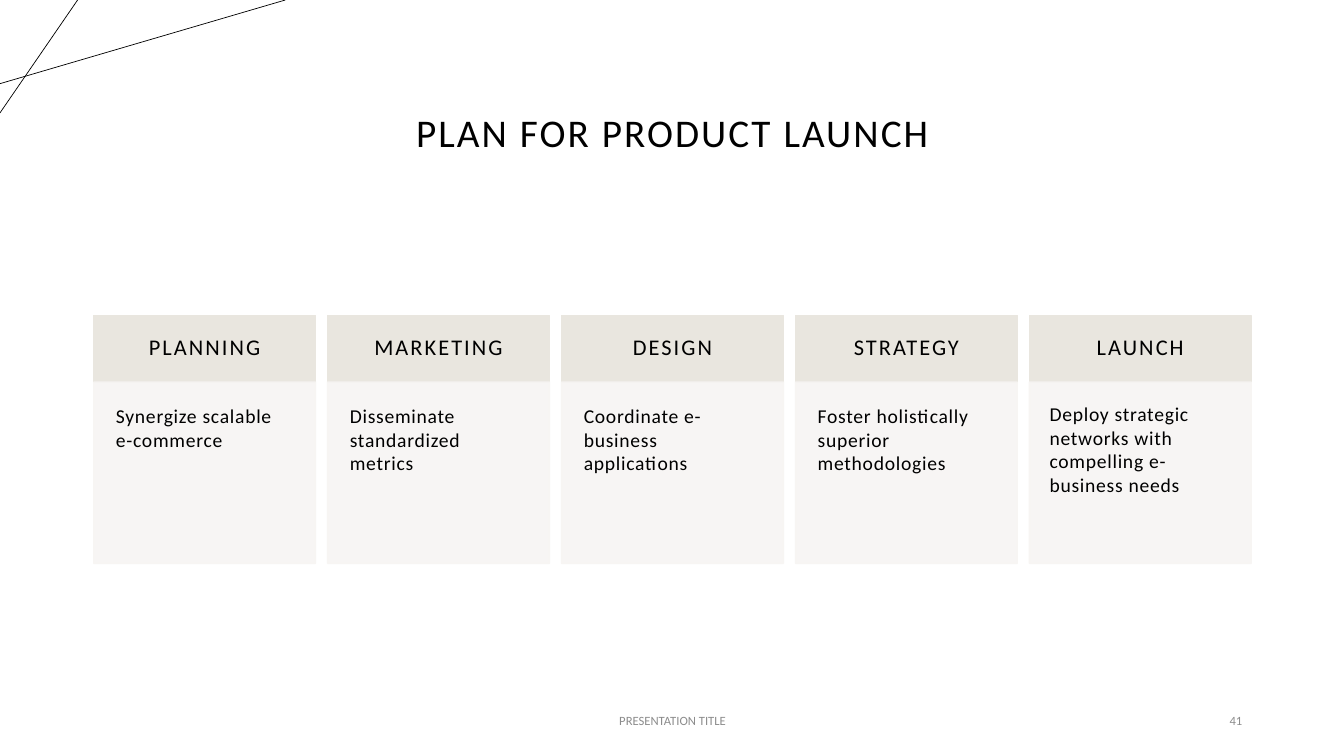
"""Build the product launch plan slide: five captioned columns under a title."""
from dataclasses import dataclass

from lxml.etree import SubElement
from pptx import Presentation
from pptx.dml.color import RGBColor
from pptx.enum.shapes import MSO_CONNECTOR, MSO_SHAPE
from pptx.enum.text import MSO_ANCHOR, PP_ALIGN
from pptx.oxml.ns import qn
from pptx.util import Inches, Pt

FONT = "Calibri"
BLACK, GREY, HEAD_FILL, BODY_FILL = "000000", "8C8C8C", "E9E6DF", "F7F5F3"
LEFT, TOP, WIDTH, PITCH = 0.93, 3.13, 2.2, 2.32
HEAD_HEIGHT, BODY_HEIGHT = 0.66, 1.8


@dataclass(frozen=True)
class Box:
    left: float
    top: float
    width: float
    height: float


@dataclass(frozen=True)
class Style:
    size: float
    color: str = BLACK
    align: PP_ALIGN = PP_ALIGN.CENTER
    anchor: MSO_ANCHOR = MSO_ANCHOR.MIDDLE
    line_spacing: float = 1.0
    tracking: float = 0


@dataclass(frozen=True)
class Stage:
    heading: str
    detail: str
    inset: float = 0.22


@dataclass(frozen=True)
class Label:
    text: str
    box: Box
    style: Style


@dataclass(frozen=True)
class Stroke:
    x1: float
    y1: float
    x2: float
    y2: float


TITLE = Style(28, anchor=MSO_ANCHOR.BOTTOM, line_spacing=0.9, tracking=1.5)
HEADING = Style(16, line_spacing=0.9, tracking=1.5)
DETAIL = Style(14, align=PP_ALIGN.LEFT, anchor=MSO_ANCHOR.TOP, tracking=0.5)
FOOTER = Style(9, GREY)
PAGE = Style(9, GREY, PP_ALIGN.RIGHT)

STROKES = [Stroke(0, 0.83, 2.83, 0), Stroke(0.77, 0, 0, 1.12)]
LABELS = [
    Label("PLAN FOR PRODUCT LAUNCH", Box(0.92, 0.15, 11.5, 1.45), TITLE),
    Label("PRESENTATION TITLE", Box(4.42, 6.95, 4.5, 0.4), FOOTER),
    Label("41", Box(9.42, 6.95, 3, 0.4), PAGE),
]
STAGES = [
    Stage("PLANNING", "Synergize scalable e-commerce"),
    Stage("MARKETING", "Disseminate standardized metrics"),
    Stage("DESIGN", "Coordinate e-business applications"),
    Stage("STRATEGY", "Foster holistically superior methodologies"),
    Stage("LAUNCH", "Deploy strategic networks with compelling e-business needs", 0.2),
]


def rgb(value: str) -> RGBColor:
    """Turn a hex string into a colour."""
    return RGBColor.from_string(value)


def set_all(obj, values: dict) -> None:
    """Set every named attribute on an object."""
    for name, value in values.items():
        setattr(obj, name, value)


def place(box: Box) -> tuple:
    """Give the box as lengths."""
    return tuple(Inches(v) for v in (box.left, box.top, box.width, box.height))


def write(sp, text: str, style: Style, inset: float | None = None) -> None:
    """Put one styled paragraph into a shape."""
    tf = sp.text_frame
    set_all(tf, {"word_wrap": True, "vertical_anchor": style.anchor})
    if inset is not None:
        sides = ("left", "top", "right", "bottom")
        set_all(tf, {f"margin_{side}": Inches(inset) for side in sides})
    p = tf.paragraphs[0]
    set_all(p, {"alignment": style.align, "line_spacing": style.line_spacing})
    r = p.add_run()
    r.text = text
    set_all(r.font, {"name": FONT, "size": Pt(style.size)})
    r.font.color.rgb = rgb(style.color)
    if style.tracking:
        r.font._element.set("spc", str(int(style.tracking * 100)))


def add_label(s, label: Label) -> None:
    """Add a free-standing line of text."""
    write(s.shapes.add_textbox(*place(label.box)), label.text, label.style)


def add_panel(s, box: Box, color: str, opacity: int = 100):
    """Add a filled rectangle with a matching outline."""
    sp = s.shapes.add_shape(MSO_SHAPE.RECTANGLE, *place(box))
    sp.shadow.inherit = False
    sp.fill.solid()
    sp.fill.fore_color.rgb = rgb(color)
    sp.line.color.rgb = rgb(color)
    sp.line.width = Pt(1)
    if opacity < 100:
        for clr in sp._element.spPr.iter(qn("a:srgbClr")):
            SubElement(clr, qn("a:alpha"), val=str(opacity * 1000))
    return sp


def add_stage(s, left: float, stage: Stage) -> None:
    """Add one column: heading panel above detail panel."""
    head = add_panel(s, Box(left, TOP, WIDTH, HEAD_HEIGHT), HEAD_FILL)
    write(head, stage.heading, HEADING, 0.17)
    body_box = Box(left, TOP + HEAD_HEIGHT, WIDTH, BODY_HEIGHT)
    body = add_panel(s, body_box, BODY_FILL, 90)
    write(body, stage.detail, DETAIL, stage.inset)


def add_stroke(s, stroke: Stroke) -> None:
    """Add a thin corner line."""
    ends = (Inches(v) for v in (stroke.x1, stroke.y1, stroke.x2, stroke.y2))
    line = s.shapes.add_connector(MSO_CONNECTOR.STRAIGHT, *ends)
    line.line.color.rgb = rgb(BLACK)
    line.line.width = Pt(0.5)
    SubElement(line._element.spPr, qn("a:effectLst"))


def main() -> None:
    """Build and save the slide."""
    prs = Presentation()
    set_all(prs, {"slide_width": Inches(13.33), "slide_height": Inches(7.5)})
    s = prs.slides.add_slide(prs.slide_layouts[6])
    for stroke in STROKES:
        add_stroke(s, stroke)
    for i, stage in enumerate(STAGES):
        add_stage(s, LEFT + i * PITCH, stage)
    for label in LABELS:
        add_label(s, label)
    prs.save("out.pptx")


if __name__ == "__main__":
    main()
